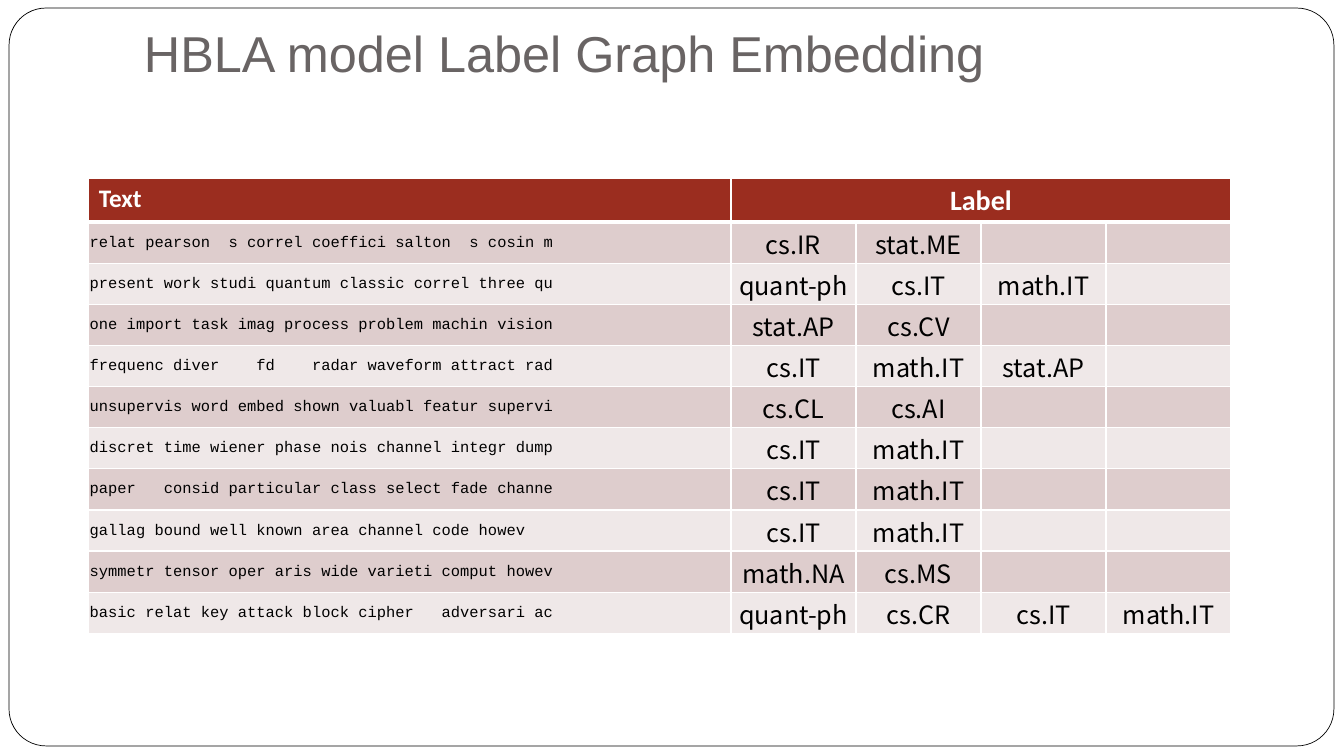
from lxml.etree import SubElement
from pptx import Presentation
from pptx.dml.color import RGBColor
from pptx.enum.shapes import MSO_SHAPE
from pptx.enum.text import MSO_ANCHOR, PP_ALIGN
from pptx.oxml.ns import qn
from pptx.util import Inches, Pt

WHITE, BLACK = "FFFFFF", "000000"
HEADER_FILL = "9B2D1F"
BAND_FILLS = ("DECDCD", "EFE8E8")
LABEL_COLUMNS = 4

TITLE_FORMAT = {"name": "Arial", "size": Pt(36)}
TEXT_HEAD_FORMAT = {"name": "Calibri", "size": Pt(18), "bold": True}
LABEL_HEAD_FORMAT = {"name": "Calibri", "size": Pt(20), "bold": True}
ABSTRACT_FORMAT = {"name": "Courier New", "size": Pt(11), "bold": False}
LABEL_FORMAT = {"name": "Noto Sans CJK KR", "size": Pt(18), "bold": False}

DOCUMENTS = [
    ("relat pearson  s correl coeffici salton  s cosin m", ["cs.IR", "stat.ME"]),
    ("present work studi quantum classic correl three qu", ["quant-ph", "cs.IT", "math.IT"]),
    ("one import task imag process problem machin vision", ["stat.AP", "cs.CV"]),
    ("frequenc diver    fd    radar waveform attract rad", ["cs.IT", "math.IT", "stat.AP"]),
    ("unsupervis word embed shown valuabl featur supervi", ["cs.CL", "cs.AI"]),
    ("discret time wiener phase nois channel integr dump", ["cs.IT", "math.IT"]),
    ("paper   consid particular class select fade channe", ["cs.IT", "math.IT"]),
    ("gallag bound well known area channel code howev", ["cs.IT", "math.IT"]),
    ("symmetr tensor oper aris wide varieti comput howev", ["math.NA", "cs.MS"]),
    ("basic relat key attack block cipher   adversari ac", ["quant-ph", "cs.CR", "cs.IT", "math.IT"]),
]


def color(value):
    return RGBColor.from_string(value)


def apply_format(target, values):
    for attribute, value in values.items():
        setattr(target, attribute, value)


def write(frame, text, font_format, text_color, alignment=PP_ALIGN.LEFT):
    paragraph = frame.paragraphs[0]
    paragraph.alignment = alignment
    run = paragraph.add_run()
    run.text = text
    apply_format(run.font, font_format)
    run.font.color.rgb = color(text_color)


def paint_cell(cell, fill, top=1, bottom=1):
    """Give the cell white borders, in points, and a solid fill."""
    properties = cell._tc.get_or_add_tcPr()
    for side, width in (("L", 1), ("R", 1), ("T", top), ("B", bottom)):
        border = SubElement(properties, qn(f"a:ln{side}"), w=str(Pt(width)))
        SubElement(SubElement(border, qn("a:solidFill")), qn("a:srgbClr"), val=WHITE)
    cell.fill.solid()
    cell.fill.fore_color.rgb = color(fill)


def add_frame(slide, left, top, width, height):
    frame = slide.shapes.add_shape(
        MSO_SHAPE.ROUNDED_RECTANGLE, Inches(left), Inches(top), Inches(width), Inches(height))
    frame.adjustments[0] = 0.05
    frame.shadow.inherit = False
    frame.fill.solid()
    frame.fill.fore_color.rgb = color(WHITE)
    frame.line.color.rgb = color(BLACK)
    frame.line.width = Pt(0.5)


def add_title(slide, left, top, width, height):
    title = slide.shapes.add_textbox(Inches(left), Inches(top), Inches(width), Inches(height))
    apply_format(title.text_frame, {
        "word_wrap": True, "vertical_anchor": MSO_ANCHOR.BOTTOM,
        "margin_bottom": Inches(0.1)})
    write(title.text_frame, "HBLA model Label Graph Embedding", TITLE_FORMAT, "696464")


def fill_header(table):
    for cell in table.rows[0].cells:
        paint_cell(cell, HEADER_FILL, bottom=3)
    label_head = table.cell(0, 1)
    label_head.merge(table.cell(0, LABEL_COLUMNS))
    write(table.cell(0, 0).text_frame, "Text", TEXT_HEAD_FORMAT, WHITE)
    write(label_head.text_frame, "Label", LABEL_HEAD_FORMAT, WHITE, PP_ALIGN.CENTER)


def fill_document(table, row, abstract, labels):
    for cell in table.rows[row].cells:
        paint_cell(cell, BAND_FILLS[(row - 1) % 2], top=3 if row == 1 else 1)
        apply_format(cell, {
            "vertical_anchor": MSO_ANCHOR.MIDDLE, "margin_left": Inches(0.01),
            "margin_right": Inches(0.01), "margin_top": Inches(0.01), "margin_bottom": 0})
    write(table.cell(row, 0).text_frame, abstract, ABSTRACT_FORMAT, BLACK)
    for column, label in enumerate(labels, 1):
        write(table.cell(row, column).text_frame, label, LABEL_FORMAT, BLACK, PP_ALIGN.CENTER)


def add_label_table(slide, left, top, width, height):
    table = slide.shapes.add_table(
        len(DOCUMENTS) + 1, LABEL_COLUMNS + 1,
        Inches(left), Inches(top), Inches(width), Inches(height)).table
    label_width = 1.24
    for column in table.columns:
        column.width = Inches(label_width)
    table.columns[0].width = Inches(width - LABEL_COLUMNS * label_width)
    fill_header(table)
    for row, (abstract, labels) in enumerate(DOCUMENTS, 1):
        fill_document(table, row, abstract, labels)


def main():
    presentation = Presentation()
    presentation.slide_width = Inches(13.33)
    presentation.slide_height = Inches(7.5)
    slide = presentation.slides.add_slide(presentation.slide_layouts[6])
    add_frame(slide, 0.09, 0.08, 13.14, 7.32)
    add_title(slide, 1.33, 0.3, 11.33, 0.62)
    add_label_table(slide, 0.88, 1.77, 11.33, 4.49)
    presentation.save("out.pptx")


if __name__ == "__main__":
    main()
